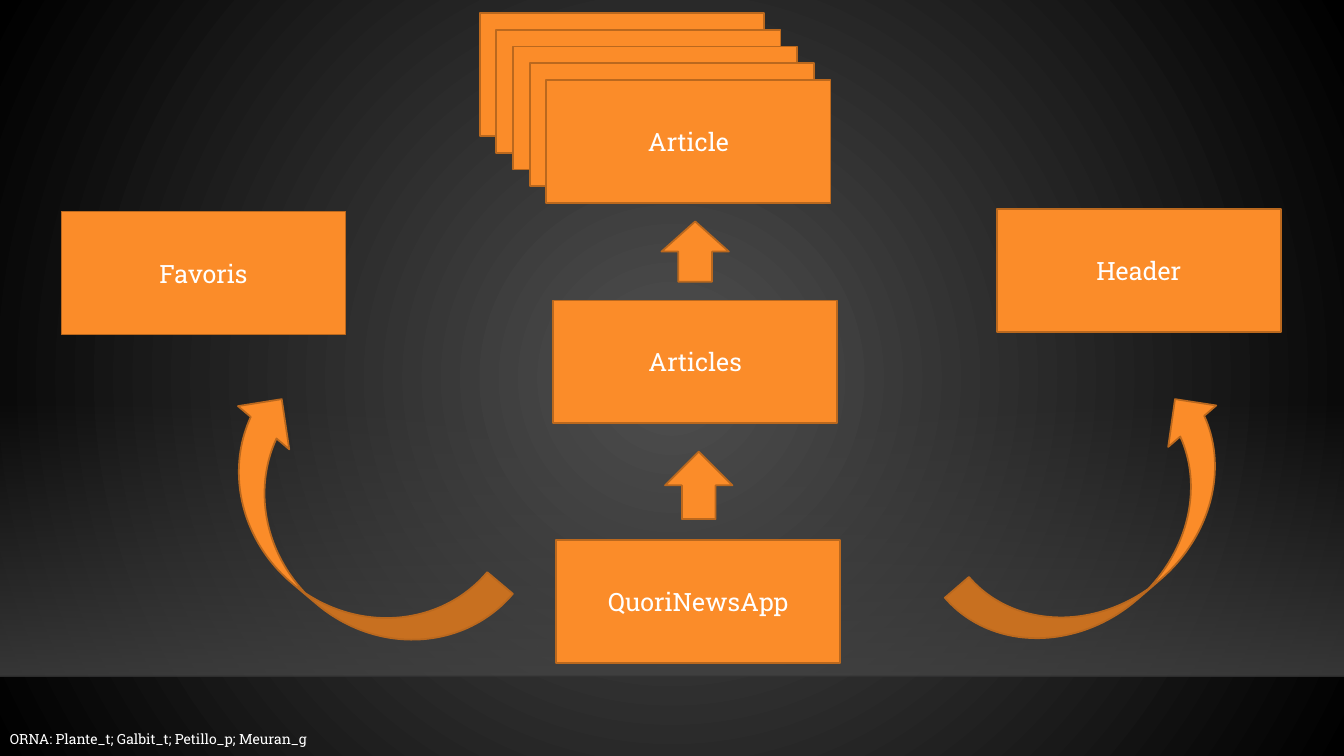
import dataclasses
import typing

import lxml.etree
import pptx
import pptx.dml.color
import pptx.enum.shapes
import pptx.enum.text
import pptx.oxml
import pptx.oxml.ns
import pptx.util

Cm = pptx.util.Cm
Kind = pptx.enum.shapes.MSO_SHAPE
WIDE, TALL = 33.87, 19.05
FLOOR = 17.04
BOX = (7.16, 3.1)
STEP = 0.42
ORANGE, BROWN, WHITE = "FB8C29", "BA681E", "FFFFFF"
FONT = "Roboto Slab"
RADIAL = '<a:path path="circle"><a:fillToRect l="50000" t="50000" r="50000" b="50000"/></a:path>'
DOWN = '<a:lin ang="5400000" scaled="0"/>'


@dataclasses.dataclass
class Box:
    left: float
    top: float
    text: str = ""


@dataclasses.dataclass
class Arrow:
    kind: typing.Any
    left: float
    top: float
    width: float
    height: float
    turn: float
    flip: bool = False


class Stop(typing.NamedTuple):
    place: int
    hue: str
    alpha: int = 100


STACK = [Box(12.09 + STEP * i, 0.33 + STEP * i) for i in range(4)]
BOXES = [
    Box(14.02, 13.61, "QuoriNewsApp"),
    Box(1.55, 5.33, "Favoris"),
    Box(25.12, 5.26, "Header"),
    Box(13.94, 7.57, "Articles"),
    *STACK,
    Box(12.09 + STEP * 4, 0.33 + STEP * 4, "Article"),
]
ARROWS = [
    Arrow(Kind.RIGHT_ARROW, 16.76, 11.38, 1.7, 1.7, 270),
    Arrow(Kind.RIGHT_ARROW, 16.76, 5.49, 1.52, 1.7, 270),
    Arrow(Kind.CURVED_UP_ARROW, 23.83, 11.91, 8.46, 3.2, 319.2),
    Arrow(Kind.CURVED_UP_ARROW, 4.37, 11.84, 8.46, 3.38, 220.1, True),
]


def color(code: str) -> pptx.dml.color.RGBColor:
    return pptx.dml.color.RGBColor.from_string(code)


def format_all(item: typing.Any, values: dict) -> None:
    for name, value in values.items():
        setattr(item, name, value)


def blend(stops: list[Stop], style: str) -> typing.Any:
    marks = "".join(
        f'<a:gs pos="{s.place * 1000}"><a:srgbClr val="{s.hue}">'
        f'<a:alpha val="{s.alpha * 1000}"/></a:srgbClr></a:gs>'
        for s in stops
    )
    return pptx.oxml.parse_xml(
        f'<a:gradFill {pptx.oxml.ns.nsdecls("a")} rotWithShape="1">'
        f"<a:gsLst>{marks}</a:gsLst>{style}</a:gradFill>"
    )


def swap_fill(fill: typing.Any, root: typing.Any, grad: typing.Any) -> None:
    fill.solid()
    old = root.find(".//" + pptx.oxml.ns.qn("a:solidFill"))
    old.getparent().replace(old, grad)


def write(shape: typing.Any, text: str, size: int, align: typing.Any) -> None:
    frame = shape.text_frame
    format_all(frame, {"word_wrap": True, "vertical_anchor": pptx.enum.text.MSO_ANCHOR.MIDDLE})
    part = frame.paragraphs[0]
    part.alignment = align
    run = part.add_run()
    run.text = text
    format_all(run.font, {"name": FONT, "size": pptx.util.Pt(size)})
    run.font.color.rgb = color(WHITE)


def add_solid(slide: typing.Any, kind: typing.Any, *place: float) -> typing.Any:
    shape = slide.shapes.add_shape(kind, *map(Cm, place))
    shape.shadow.inherit = False
    shape.fill.solid()
    shape.fill.fore_color.rgb = color(ORANGE)
    shape.line.color.rgb = color(BROWN)
    shape.line.width = pptx.util.Pt(1.25)
    return shape


def add_box(slide: typing.Any, box: Box) -> None:
    shape = add_solid(slide, Kind.RECTANGLE, box.left, box.top, *BOX)
    if box.text:
        write(shape, box.text, 18, pptx.enum.text.PP_ALIGN.CENTER)


def add_arrow(slide: typing.Any, arrow: Arrow) -> None:
    shape = add_solid(slide, arrow.kind, arrow.left, arrow.top, arrow.width, arrow.height)
    shape.rotation = arrow.turn
    if arrow.flip:
        shape.element.spPr.find(pptx.oxml.ns.qn("a:xfrm")).set("flipV", "1")


def add_stage(slide: typing.Any) -> None:
    back = slide.background.fill
    swap_fill(back, slide.element, blend([Stop(0, "505050"), Stop(100, "000000")], RADIAL))
    glow = slide.shapes.add_shape(Kind.RECTANGLE, 0, Cm(10.06), Cm(WIDE), Cm(FLOOR - 10.06))
    glow.shadow.inherit = False
    swap_fill(glow.fill, glow.element.spPr, blend([Stop(0, "454545", 0), Stop(100, "454545", 80)], DOWN))
    glow.line.fill.background()
    edge = slide.shapes.add_connector(
        pptx.enum.shapes.MSO_CONNECTOR.STRAIGHT, 0, Cm(FLOOR), Cm(WIDE), Cm(FLOOR)
    )
    edge.line.color.rgb = color("000001")
    edge.line.width = pptx.util.Pt(1)
    qn = pptx.oxml.ns.qn
    tint = edge.element.spPr.find(".//" + qn("a:srgbClr"))
    lxml.etree.SubElement(tint, qn("a:alpha")).set("val", "20000")
    lxml.etree.SubElement(edge.element.spPr, qn("a:effectLst"))


def main() -> None:
    deck = pptx.Presentation()
    format_all(deck, {"slide_width": Cm(WIDE), "slide_height": Cm(TALL)})
    slide = deck.slides.add_slide(deck.slide_layouts[6])
    add_stage(slide)
    team = slide.shapes.add_textbox(0, Cm(18.19), Cm(15.62), Cm(0.86))
    write(team, "ORNA: Plante_t; Galbit_t; Petillo_p; Meuran_g", 10, pptx.enum.text.PP_ALIGN.LEFT)
    for box in BOXES:
        add_box(slide, box)
    for arrow in ARROWS:
        add_arrow(slide, arrow)
    deck.save("out.pptx")


if __name__ == "__main__":
    main()
